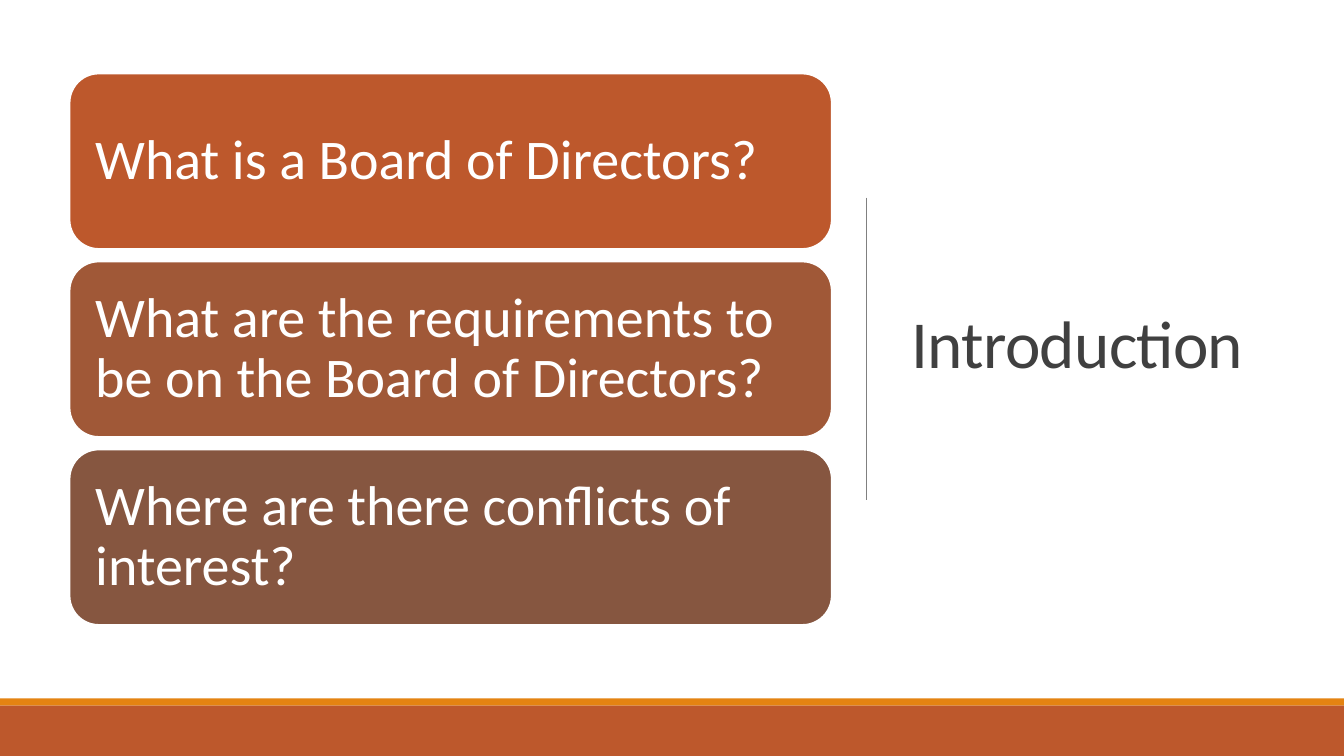
from pptx import Presentation
from pptx.dml.color import RGBColor
from pptx.enum import shapes, text
from pptx.oxml.ns import qn
from pptx.util import Inches, Pt
from lxml import etree


def paint(color_format, color):
    color_format.rgb = RGBColor.from_string(color)


def add_block(kind, left, top, width, height, color):
    block = slide.shapes.add_shape(kind, Inches(left), Inches(top), Inches(width), Inches(height))
    block.shadow.inherit = False
    block.fill.solid()
    paint(block.fill.fore_color, color)
    block.line.fill.background()
    return block


deck = Presentation()
deck.slide_width, deck.slide_height = Inches(13.33), Inches(7.5)
slide = deck.slides.add_slide(deck.slide_layouts[5])

# Title on the right
title = slide.shapes.title
title.left, title.top = Inches(8.94), Inches(0.69)
title.width, title.height = Inches(3.69), Inches(5.53)
title.text_frame.vertical_anchor = text.MSO_ANCHOR.MIDDLE
title.text_frame.auto_size = text.MSO_AUTO_SIZE.NONE
heading = title.text_frame.paragraphs[0]
heading.alignment = text.PP_ALIGN.LEFT
heading.line_spacing = 0.85
heading_run = heading.add_run()
heading_run.text = "Introduction"
heading_run.font.size = Pt(48)
heading_run.font.name = "Calibri"
paint(heading_run.font.color, "404040")
heading_run.font._element.set("spc", "-50")

# Divider beside the title
divider = slide.shapes.add_connector(
    shapes.MSO_CONNECTOR.STRAIGHT, Inches(8.59), Inches(1.96), Inches(8.59), Inches(4.96))
divider.line.width = Pt(0.5)
paint(divider.line.color, "808080")
etree.SubElement(divider._element.spPr, qn("a:effectLst"))

# Footer bands
add_block(shapes.MSO_SHAPE.RECTANGLE, 0, 6.93, 13.33, 0.07, "E48312")
add_block(shapes.MSO_SHAPE.RECTANGLE, 0, 7, 13.33, 0.5, "BD582C")

# Question cards
questions = [
    ("What is a Board of Directors?", "BD582C"),
    ("What are the requirements to be on the Board of Directors?", "A05837"),
    ("Where are there conflicts of interest?", "865640"),
]
card_top, card_height, card_pitch = 0.73, 1.74, 1.865
for row, (question, color) in enumerate(questions):
    card = add_block(shapes.MSO_SHAPE.ROUNDED_RECTANGLE,
                     0.69, card_top + row * card_pitch, 7.56, card_height, color)
    card.line.width = Pt(1.25)
    paint(card.line.color, "FFFFFF")
    frame = card.text_frame
    frame.word_wrap = True
    frame.vertical_anchor = text.MSO_ANCHOR.MIDDLE
    frame.margin_left = frame.margin_right = Inches(0.17)
    frame.margin_top = frame.margin_bottom = Inches(0.17)
    paragraph = frame.paragraphs[0]
    paragraph.alignment = text.PP_ALIGN.LEFT
    paragraph.line_spacing = 0.9
    run = paragraph.add_run()
    run.text = question
    run.font.size = Pt(40)
    run.font.name = "Calibri"
    paint(run.font.color, "FFFFFF")

deck.save("out.pptx")
